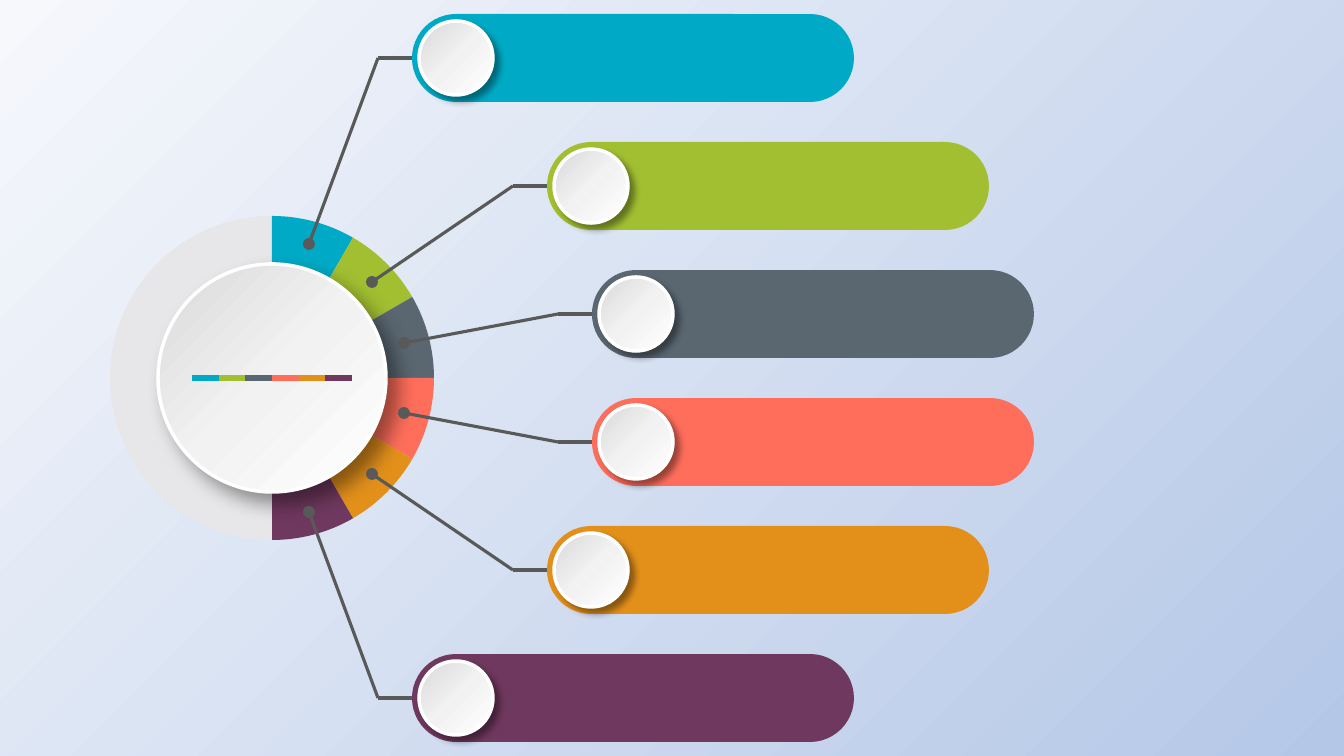
from lxml import etree
from pptx import Presentation
from pptx import util as u
from pptx.dml.color import RGBColor
from pptx.enum import shapes
from pptx.oxml.ns import qn

WIDTH, HEIGHT = 1344, 756
SCALE = 12192000 / WIDTH
COLOURS = {
    "teal": "00AAC6", "green": "A2BF32", "slate": "5A6771",
    "coral": "FF6E5B", "amber": "E3901B", "plum": "6F385E",
    "ring": "E7E6E8", "leader": "595959", "rim": "FFFFFF", "shade": "000000",
    "sky_light": "F6F8FC", "sky_dark": "B4C7E7",
    "disc_light": "FFFFFF", "disc_mid": "F2F2F2", "disc_dark": "D9D9D9",
}
TOPICS = ["teal", "green", "slate", "coral", "amber", "plum"]
PRESET = shapes.MSO_SHAPE


def px(length):
    """Turn pixels into EMU."""
    return u.Emu(round(length * SCALE))


def rgb(name):
    """Look up a colour by name."""
    return RGBColor.from_string(COLOURS[name])


def set_gradient(fill, owner, names, angle):
    """Give a fill evenly spaced stops, with a clockwise angle."""
    fill.gradient()
    fill.gradient_angle = 360 - angle
    stops = next(owner.iter(qn("a:gsLst")))
    for old in list(stops):
        stops.remove(old)
    for i, name in enumerate(names):
        stop = etree.SubElement(stops, qn("a:gs"), pos=str(100000 * i // (len(names) - 1)))
        etree.SubElement(stop, qn("a:srgbClr"), val=COLOURS[name])


def add_flat(parent, preset, box, colour):
    """Add a plain filled shape without outline or shadow."""
    shape = parent.add_shape(preset, *map(px, box))
    shape.shadow.inherit = False
    shape.line.fill.background()
    shape.fill.solid()
    shape.fill.fore_color.rgb = rgb(colour)
    return shape


def add_disc(parent, box, blur, distance):
    """Add a raised white disc with a rim and a soft shadow."""
    disc = add_flat(parent, PRESET.OVAL, box, "disc_light")
    set_gradient(disc.fill, disc._element, ["disc_light", "disc_mid", "disc_dark"], 225)
    disc.line.color.rgb = rgb("rim")
    disc.line.width = u.Pt(2.5)
    effects = disc._element.spPr.find(qn("a:effectLst"))
    shadow = etree.SubElement(
        effects, qn("a:outerShdw"), blurRad=str(u.Pt(blur)), dist=str(u.Pt(distance)),
        dir=str(45 * 60000), algn="tl", rotWithShape="0")
    tint = etree.SubElement(shadow, qn("a:srgbClr"), val=COLOURS["shade"])
    etree.SubElement(tint, qn("a:alpha"), val="40000")


def add_line(parent, start, end, colour, width):
    """Add a straight line between two points."""
    line = parent.add_connector(shapes.MSO_CONNECTOR.STRAIGHT, *map(px, (*start, *end)))
    line.line.color.rgb = rgb(colour)
    line.line.width = u.Pt(width)
    etree.SubElement(line._element.spPr, qn("a:effectLst"))


def add_wheel(slide, box):
    """Draw the ring, its six segments and the central hub."""
    left, top, size, _ = box
    wheel = slide.shapes.add_group_shape().shapes
    add_flat(wheel, PRESET.OVAL, box, "ring")
    for i, topic in enumerate(TOPICS):
        segment = add_flat(wheel, PRESET.PIE, box, topic)
        segment.adjustments[0] = 162  # 270 degrees
        segment.adjustments[1] = 180  # 300 degrees
        segment.rotation = 30 * i
    inset = 48
    hub = size - 2 * inset
    add_disc(wheel, (left + inset, top + inset, hub, hub), 14, 10)


def add_branch(slide, box, topic, anchor):
    """Draw one topic bar and the leader from its segment."""
    left, top, _, height = box
    middle = top + height / 2
    elbow = (left - 34, middle)
    dot = 12
    bar = add_flat(slide.shapes, PRESET.ROUNDED_RECTANGLE, box, topic)
    bar.adjustments[0] = 0.5
    add_flat(slide.shapes, PRESET.OVAL,
             (anchor[0] - dot / 2, anchor[1] - dot / 2, dot, dot), "leader")
    add_line(slide.shapes, elbow, (left, middle), "leader", 2.25)
    add_line(slide.shapes, elbow, anchor, "leader", 2.25)
    inset = 7
    knob = height - 2 * inset
    add_disc(slide.shapes, (left + inset, top + inset, knob, knob), 5, 5)


def add_stripe(slide, box):
    """Draw the six-colour stripe across the hub."""
    left, top, width, _ = box
    stripe = slide.shapes.add_group_shape().shapes
    step = width / len(TOPICS)
    for i, topic in enumerate(TOPICS):
        start = left + i * step
        add_line(stripe, (start, top), (start + step, top), topic, 4.5)


def build_slide(slide):
    """Lay out the wheel, its branches and the stripe."""
    set_gradient(slide.background.fill, slide._element, ["sky_light", "sky_dark"], 45)
    centre_x, centre_y, ring = 272, 378, 324
    add_wheel(slide, (centre_x - ring // 2, centre_y - ring // 2, ring, ring))
    bar_lefts = [412, 547, 592]
    anchor_offsets = [(37, -134), (100, -96), (132, -35)]
    for i, topic in enumerate(TOPICS):
        mirrored = i >= 3
        row = 5 - i if mirrored else i
        dx, dy = anchor_offsets[row]
        anchor = (centre_x + dx, centre_y + (-dy if mirrored else dy))
        add_branch(slide, (bar_lefts[row], 14 + 128 * i, 442, 88), topic, anchor)
    add_stripe(slide, (centre_x - 80, centre_y, 160, 0))


deck = Presentation()
deck.slide_width, deck.slide_height = px(WIDTH), px(HEIGHT)
build_slide(deck.slides.add_slide(deck.slide_layouts[6]))
deck.save("out.pptx")
